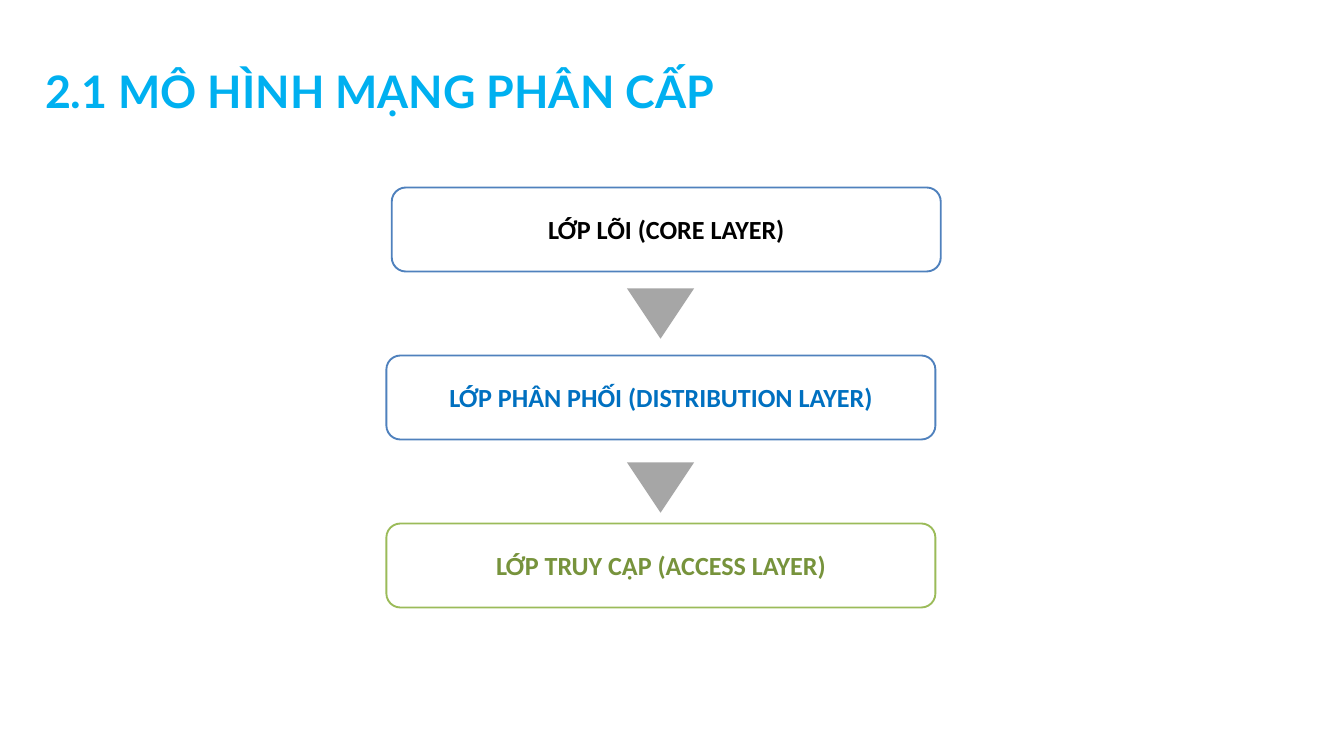
from dataclasses import dataclass

from pptx import Presentation
from pptx.dml.color import RGBColor
from pptx.enum.shapes import MSO_SHAPE
from pptx.enum.text import MSO_ANCHOR, PP_ALIGN
from pptx.util import Inches, Pt

ROUNDED = MSO_SHAPE.ROUNDED_RECTANGLE
TRIANGLE = MSO_SHAPE.FLOWCHART_MERGE
LEFT, CENTER = PP_ALIGN.LEFT, PP_ALIGN.CENTER
MIDDLE = MSO_ANCHOR.MIDDLE

LAYER_TOP, LAYER_STEP = 2.79, 2.5
LAYER_WIDTH, LAYER_HEIGHT = 8.17, 1.25
ARROW_LEFT, ARROW_WIDTH, ARROW_HEIGHT = 9.33, 1, 0.75


@dataclass
class Layer:
    label: str
    left: float
    line_color: str
    text_color: str


LAYERS = [
    Layer("LỚP LÕI (CORE LAYER)", 5.83, "4F81BD", "000000"),
    Layer("LỚP PHÂN PHỐI (DISTRIBUTION LAYER)", 5.75, "4F81BD", "0070C0"),
    Layer("LỚP TRUY CẬP (ACCESS LAYER)", 5.75, "9BBB59", "77933C"),
]
ARROW_TOPS = [4.29, 6.88]


def rgb(color: str) -> RGBColor:
    return RGBColor.from_string(color)


def write_text(frame, text: str, *, size: float, font: str, color: str,
               align=LEFT, line_spacing=None) -> None:
    frame.word_wrap = True
    paragraph = frame.paragraphs[0]
    paragraph.alignment = align
    if line_spacing is not None:
        paragraph.line_spacing = Pt(line_spacing)
    run = paragraph.add_run()
    run.text = text
    run.font.size = Pt(size)
    run.font.name = font
    run.font.bold = True
    run.font.color.rgb = rgb(color)


def draw_title(slide, text: str) -> None:
    box = slide.shapes.add_textbox(Inches(0.67), Inches(0.46), Inches(14.26), Inches(1.3))
    frame = box.text_frame
    frame.margin_left = frame.margin_right = frame.margin_top = frame.margin_bottom = 0
    write_text(frame, text, size=48, font="Lato", color="00B0F0", line_spacing=92.4)


def draw_layer(slide, layer: Layer, top: float) -> None:
    shape = slide.shapes.add_shape(ROUNDED, Inches(layer.left), Inches(top),
                                   Inches(LAYER_WIDTH), Inches(LAYER_HEIGHT))
    shape.shadow.inherit = False
    shape.fill.background()
    shape.line.color.rgb = rgb(layer.line_color)
    shape.line.width = Pt(2)
    shape.text_frame.vertical_anchor = MIDDLE
    write_text(shape.text_frame, layer.label, size=28, font="Calibri",
               color=layer.text_color, align=CENTER)


def draw_arrow(slide, top: float) -> None:
    shape = slide.shapes.add_shape(TRIANGLE, Inches(ARROW_LEFT), Inches(top),
                                   Inches(ARROW_WIDTH), Inches(ARROW_HEIGHT))
    shape.shadow.inherit = False
    shape.fill.solid()
    shape.fill.fore_color.rgb = rgb("A6A6A6")
    shape.line.fill.background()


def main() -> None:
    presentation = Presentation()
    presentation.slide_width = Inches(20)
    presentation.slide_height = Inches(11.25)
    slide = presentation.slides.add_slide(presentation.slide_layouts[6])

    # Title
    draw_title(slide, "2.1 MÔ HÌNH MẠNG PHÂN CẤP")

    # Network layers, from core down to access
    for index, layer in enumerate(LAYERS):
        draw_layer(slide, layer, LAYER_TOP + index * LAYER_STEP)

    # Downward triangles between the layers
    for top in ARROW_TOPS:
        draw_arrow(slide, top)

    presentation.save("out.pptx")


if __name__ == "__main__":
    main()
